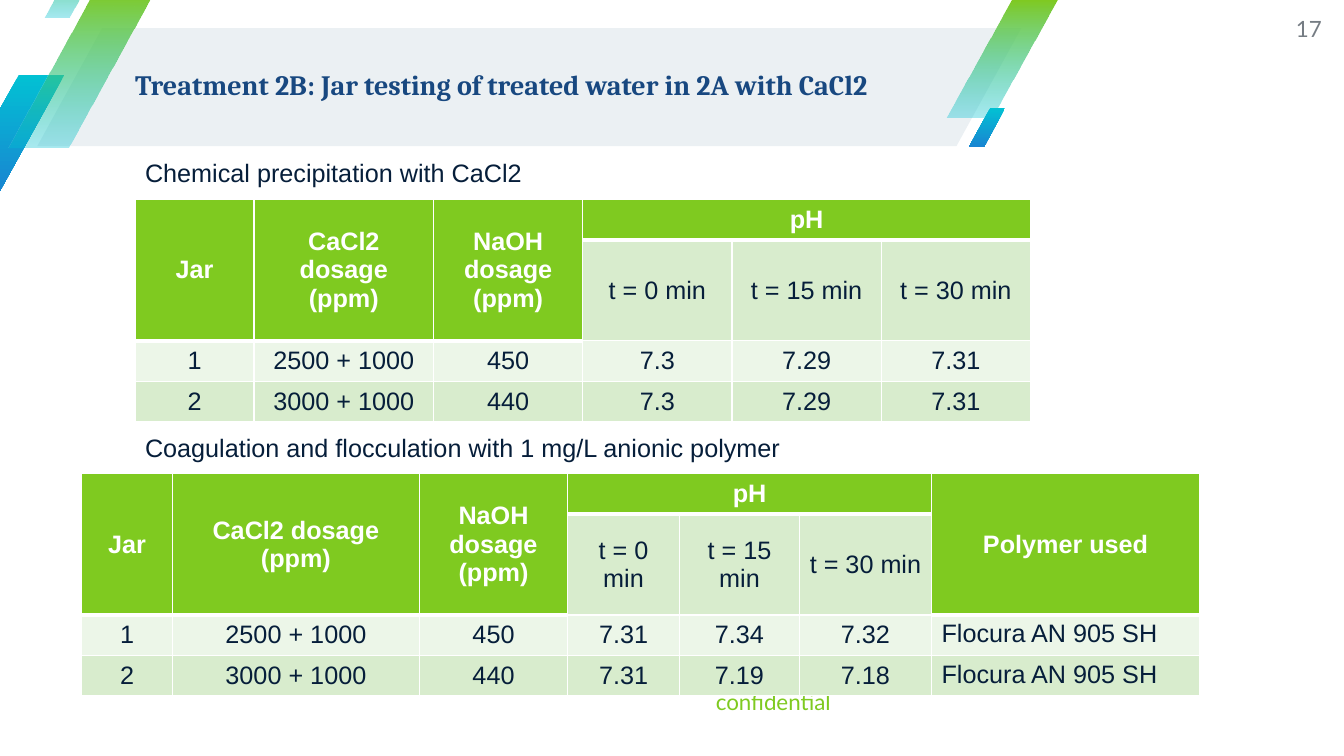
import pptx
import pptx.util
import pptx.dml.color
import pptx.enum.shapes
import pptx.enum.text
import pptx.oxml.ns
from lxml import etree

Inches, Pt = pptx.util.Inches, pptx.util.Pt
RGBColor, qn = pptx.dml.color.RGBColor, pptx.oxml.ns.qn
ALIGN, ANCHOR = pptx.enum.text.PP_ALIGN, pptx.enum.text.MSO_ANCHOR
PARALLELOGRAM = pptx.enum.shapes.MSO_SHAPE.PARALLELOGRAM

WHITE = RGBColor(0xFF, 0xFF, 0xFF)
GREEN = RGBColor(0x7F, 0xCA, 0x20)
TEAL = RGBColor(0x02, 0xC1, 0xD3)
BLUE = RGBColor(0x19, 0x85, 0xD2)
NAVY = RGBColor(0x18, 0x48, 0x80)
INK = RGBColor(0x06, 0x1E, 0x3A)
GREY = RGBColor(0x75, 0x7C, 0x83)
BANNER = RGBColor(0xEB, 0xF0, 0xF3)
BAND_LIGHT = RGBColor(0xEC, 0xF6, 0xE8)
BAND_DARK = RGBColor(0xD8, 0xEC, 0xCD)

# Content
TITLE = "Treatment 2B: Jar testing of treated water in 2A with CaCl2"
CAPTIONS = [
    ("Chemical precipitation with CaCl2", (1.34, 1.51, 3.97, 0.4)),
    ("Coagulation and flocculation with 1 mg/L anionic polymer", (1.34, 4.24, 6.63, 0.4)),
]
HEADS = ["Jar", "CaCl2 dosage (ppm)", "NaOH dosage (ppm)", "pH", "", ""]
TIMES = ["", "", "", "t = 0 min", "t = 15 min", "t = 30 min"]
PH_COLS = (3, 5)
POLYMER_COL = 6
TABLES = [
    {"at": (1.34, 1.98), "cols": [1.18, 1.78] + [1.48] * 4, "rows": [0.39, 0.94, 0.4, 0.4],
     "cells": [HEADS, TIMES,
               ["1", "2500 + 1000", "450", "7.3", "7.29", "7.31"],
               ["2", "3000 + 1000", "440", "7.3", "7.29", "7.31"]]},
    {"at": (0.81, 4.7), "cols": [0.9, 2.45, 1.47, 1.11, 1.19, 1.31, 2.66],
     "rows": [0.4, 0.99, 0.4, 0.4],
     "cells": [HEADS + ["Polymer used"], TIMES + [""],
               ["1", "2500 + 1000", "450", "7.31", "7.34", "7.32", "Flocura AN 905 SH"],
               ["2", "3000 + 1000", "440", "7.31", "7.19", "7.18", "Flocura AN 905 SH"]]},
]
# Slanted bars: place, top colour, bottom colour, bottom opacity in percent
BARS = [
    ((-0.46, 0.74, 1.1, 1.17), TEAL, BLUE, 100),
    ((9.39, 0, 1.1, 1.17), GREEN, TEAL, 34),
    ((0.08, -0.1, 1.46, 1.56), GREEN, TEAL, 34),
    ((0.44, -0.48, 0.61, 0.65), GREEN, TEAL, 34),
    ((9.61, 1.07, 0.36, 0.39), TEAL, BLUE, 100),
]


def slanted(s, at, slant):
    sp = s.shapes.add_shape(PARALLELOGRAM, *map(Inches, at))
    sp.adjustments[0] = slant
    sp.shadow.inherit = False
    sp.line.fill.background()
    return sp


def add_bar(s, at, top, bottom, opacity):
    sp = slanted(s, at, 0.59)
    sp.fill.gradient()
    sp.fill.gradient_angle = 270
    for stop, color, position in zip(sp.fill.gradient_stops, (top, bottom), (0, 1)):
        stop.color.rgb = color
        stop.position = position
    if opacity < 100:
        last = list(sp._element.iter(qn("a:srgbClr")))[-1]
        etree.SubElement(last, qn("a:alpha"), val=str(opacity * 1000))


def style(p, size, font, color, bold=False, align=ALIGN.LEFT):
    p.alignment = align
    for r in p.runs:
        r.font.size, r.font.name, r.font.bold = Pt(size), font, bold
        r.font.color.rgb = color


def add_text(s, text, at, size, font, color, bold=False, align=ALIGN.LEFT):
    tf = s.shapes.add_textbox(*map(Inches, at)).text_frame
    tf.text = text
    tf.word_wrap = True
    tf.vertical_anchor = ANCHOR.MIDDLE
    tf.margin_left = tf.margin_right = tf.margin_top = tf.margin_bottom = 0
    style(tf.paragraphs[0], size, font, color, bold, align)
    return tf


def set_borders(cell, bottom):
    tc_pr = cell._tc.get_or_add_tcPr()
    for i, (side, width) in enumerate([("L", 1), ("R", 1), ("T", 1), ("B", bottom)]):
        ln = etree.Element(qn("a:ln" + side), w=str(Pt(width)))
        fill = etree.SubElement(ln, qn("a:solidFill"))
        etree.SubElement(fill, qn("a:srgbClr"), val=str(WHITE))
        tc_pr.insert(i, ln)


def add_results(s, at, cols, rows, cells):
    size = (sum(cols), sum(rows))
    table = s.shapes.add_table(len(rows), len(cols), *map(Inches, at + size)).table
    for col, width in zip(table.columns, cols):
        col.width = Inches(width)
    for row, height in zip(table.rows, rows):
        row.height = Inches(height)

    # Two-row headings, with pH spanning its three times
    first, last = PH_COLS
    table.cell(0, first).merge(table.cell(0, last))
    for c in range(len(cols)):
        if not first <= c <= last:
            table.cell(0, c).merge(table.cell(1, c))

    for r, line in enumerate(cells):
        for c, text in enumerate(line):
            cell = table.cell(r, c)
            header = r == 0 or (r == 1 and not first <= c <= last)
            named = r > 1 and c == POLYMER_COL
            cell.fill.solid()
            cell.fill.fore_color.rgb = GREEN if header else BAND_LIGHT if r == 2 else BAND_DARK
            set_borders(cell, 3 if header else 1)
            cell.vertical_anchor = ANCHOR.TOP if named else ANCHOR.MIDDLE
            cell.text_frame.text = text
            style(cell.text_frame.paragraphs[0], 18, "Arial", WHITE if header else INK,
                  header, ALIGN.LEFT if named else ALIGN.CENTER)


def main():
    prs = pptx.Presentation()
    prs.slide_width, prs.slide_height = Inches(13.33), Inches(7.5)
    s = prs.slides.add_slide(prs.slide_layouts[6])

    # Banner and bars
    sp = slanted(s, (0.37, 0.28, 9.76, 1.17), 0.55)
    sp.fill.solid()
    sp.fill.fore_color.rgb = BANNER
    for bar in BARS:
        add_bar(s, *bar)

    # Footer, number and title
    add_text(s, "confidential", (4.67, 6.67, 3.57, 0.57), 16, "Lato", GREEN, align=ALIGN.RIGHT)
    add_text(s, "17", (12.48, 0, 0.63, 0.57), 16, "Lato", GREY, align=ALIGN.RIGHT)
    tf = add_text(s, TITLE, (1.34, 0.26, 8.79, 1.19), 20, "Cambria", NAVY, bold=True)
    tf.paragraphs[0].line_spacing = 0.9

    # Captions and tables
    for text, at in CAPTIONS:
        tf = add_text(s, text, at, 18, "Arial", INK)
        tf.word_wrap = False
        tf.margin_left = tf.margin_right = Inches(0.1)
    for results in TABLES:
        add_results(s, **results)

    prs.save("out.pptx")


if __name__ == "__main__":
    main()
